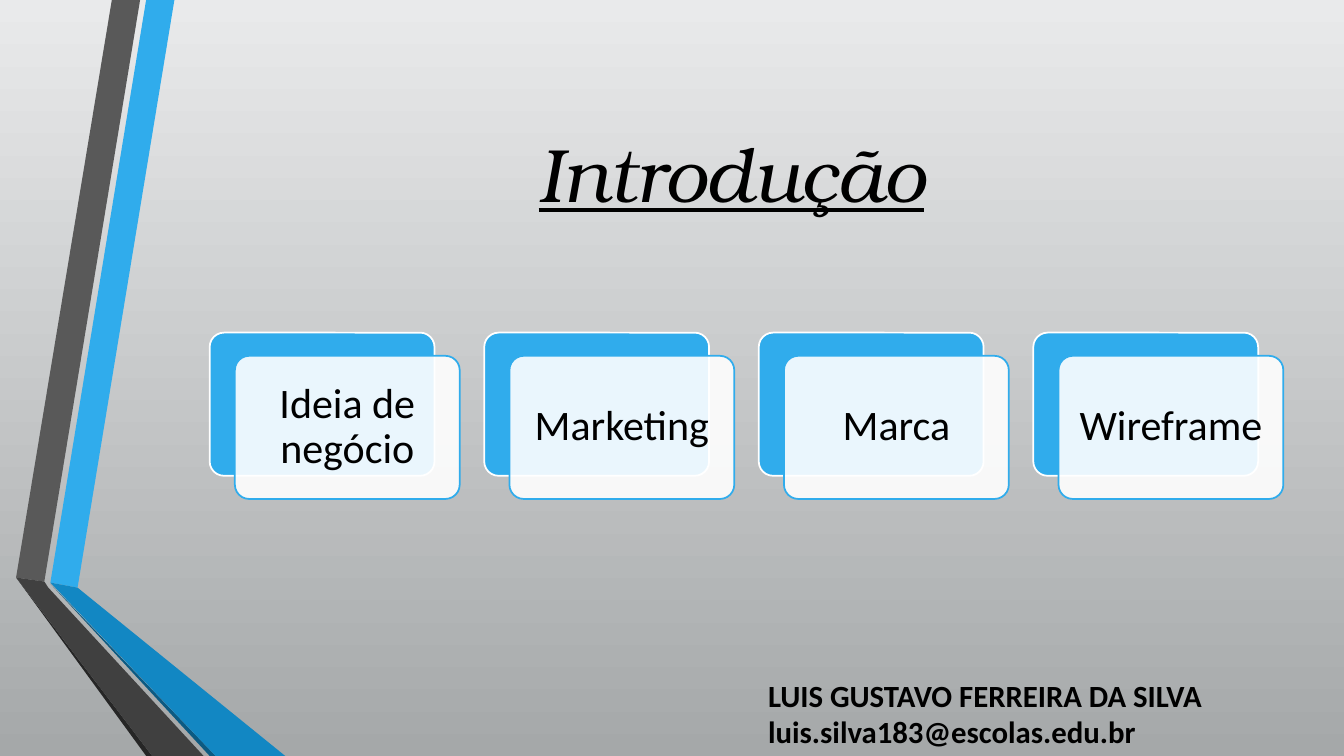
from lxml.etree import SubElement
from pptx import Presentation
from pptx.dml.color import RGBColor
from pptx.enum.shapes import MSO_SHAPE
from pptx.enum.text import MSO_ANCHOR, MSO_AUTO_SIZE, PP_ALIGN
from pptx.oxml.ns import qn
from pptx.util import Inches, Pt

BLACK = RGBColor(0x00, 0x00, 0x00)
WHITE = RGBColor(0xFF, 0xFF, 0xFF)
BLUE = RGBColor(0x30, 0xAC, 0xEC)
MID_BLUE = RGBColor(0x12, 0x87, 0xC3)
DARK_BLUE = RGBColor(0x0C, 0x5A, 0x82)
GRAY = RGBColor(0x59, 0x59, 0x59)
DARK_GRAY = RGBColor(0x40, 0x40, 0x40)
DEEP_GRAY = RGBColor(0x26, 0x26, 0x26)
BG_TOP = RGBColor(0xE9, 0xEA, 0xEB)
BG_BOTTOM = RGBColor(0xA5, 0xA8, 0xA9)


class SlideBuilder:
    body_font = "Calibri"
    title_font = "TeX Gyre Bonum"

    def __init__(self, prs):
        self.s = prs.slides.add_slide(prs.slide_layouts[6])

    def background(self, top, bottom):
        fill = self.s.background.fill
        fill.gradient()
        fill.gradient_angle = 270
        for stop, color in zip(fill.gradient_stops, (top, bottom)):
            stop.color.rgb = color

    def ribbon(self, points, color):
        pts = [(Inches(x), Inches(y)) for x, y in points]
        builder = self.s.shapes.build_freeform(*pts[0])
        builder.add_line_segments(pts[1:], close=True)
        sp = builder.convert_to_shape()
        sp.shadow.inherit = False
        sp.fill.solid()
        sp.fill.fore_color.rgb = color
        sp.line.fill.background()

    def panel(self, x, y, w, h, fill, line, opacity=100):
        sp = self.s.shapes.add_shape(MSO_SHAPE.ROUNDED_RECTANGLE,
                                     Inches(x), Inches(y), Inches(w), Inches(h))
        sp.adjustments[0] = 0.1
        sp.shadow.inherit = False
        sp.fill.solid()
        sp.fill.fore_color.rgb = fill
        sp.line.color.rgb = line
        sp.line.width = Pt(1.25)
        if opacity < 100:
            color = sp._element.spPr.find(qn("a:solidFill"))[0]
            SubElement(color, qn("a:alpha"), val=str(opacity * 1000))

    def text(self, x, y, w, h, lines, size, font=None, align=PP_ALIGN.LEFT,
             anchor=MSO_ANCHOR.TOP, inset=None, spacing=None, grow=False,
             bold=False, italic=False, underline=False):
        tf = self.s.shapes.add_textbox(Inches(x), Inches(y),
                                       Inches(w), Inches(h)).text_frame
        tf.word_wrap = True
        tf.vertical_anchor = anchor
        if grow:
            tf.auto_size = MSO_AUTO_SIZE.SHAPE_TO_FIT_TEXT
        if inset is not None:
            tf.margin_left = tf.margin_right = Inches(inset)
            tf.margin_top = tf.margin_bottom = Inches(inset)
        for i, line in enumerate(lines):
            p = tf.add_paragraph() if i else tf.paragraphs[0]
            p.alignment = align
            p.line_spacing = spacing
            r = p.add_run()
            r.text = line
            r.font.name = font or self.body_font
            r.font.size = Pt(size)
            r.font.color.rgb = BLACK
            r.font.bold = bold
            r.font.italic = italic
            r.font.underline = underline

    def card(self, x, y, label):
        w, h, shift, pad = 2.23, 1.42, 0.25, 0.04
        self.panel(x, y, w, h, BLUE, WHITE)
        x, y = x + shift, y + 0.23
        self.panel(x, y, w, h, WHITE, BLUE, opacity=90)
        self.text(x + pad, y + pad, w - 2 * pad, h - 2 * pad, [label], 30,
                  align=PP_ALIGN.CENTER, anchor=MSO_ANCHOR.MIDDLE,
                  inset=0.12, spacing=0.9)


def main():
    prs = Presentation()
    prs.slide_width, prs.slide_height = Inches(13.33), Inches(7.5)
    slide = SlideBuilder(prs)
    slide.background(BG_TOP, BG_BOTTOM)

    # Folded ribbons on the left
    ribbons = [
        (BLUE, [(0.5, 5.78), (0.77, 5.83), (1.73, 0), (1.45, 0)]),
        (GRAY, [(1.39, 0), (1.11, 0), (0.16, 5.73), (0.44, 5.77)]),
        (DEEP_GRAY, [(0.16, 5.73), (1.45, 7.5), (1.51, 7.5)]),
        (DARK_BLUE, [(0.5, 5.79), (2.08, 7.5), (2.14, 7.5)]),
        (MID_BLUE, [(0.5, 5.78), (2.14, 7.5), (2.83, 7.5), (0.77, 5.83)]),
        (DARK_GRAY, [(2.02, 7.5), (0.48, 5.83), (0.44, 5.77), (0.16, 5.73),
                     (1.51, 7.5)]),
    ]
    for color, points in ribbons:
        slide.ribbon(points, color)

    # Title
    slide.text(1.93, 0.75, 10.65, 1.92, ["Introdução"], 54,
               font=slide.title_font, align=PP_ALIGN.CENTER,
               anchor=MSO_ANCHOR.MIDDLE, italic=True, underline=True)

    # Topic cards
    topics = ["Ideia de negócio", "Marketing", "Marca", "Wireframe"]
    for i, topic in enumerate(topics):
        slide.card(2.08 + i * 2.723, 3.3, topic)

    # Author
    slide.text(7.52, 6.66, 5.81, 0.84,
               ["LUIS GUSTAVO FERREIRA DA SILVA",
                "luis.silva183@escolas.edu.br"], 22, bold=True, grow=True)

    prs.save("out.pptx")


if __name__ == "__main__":
    main()
